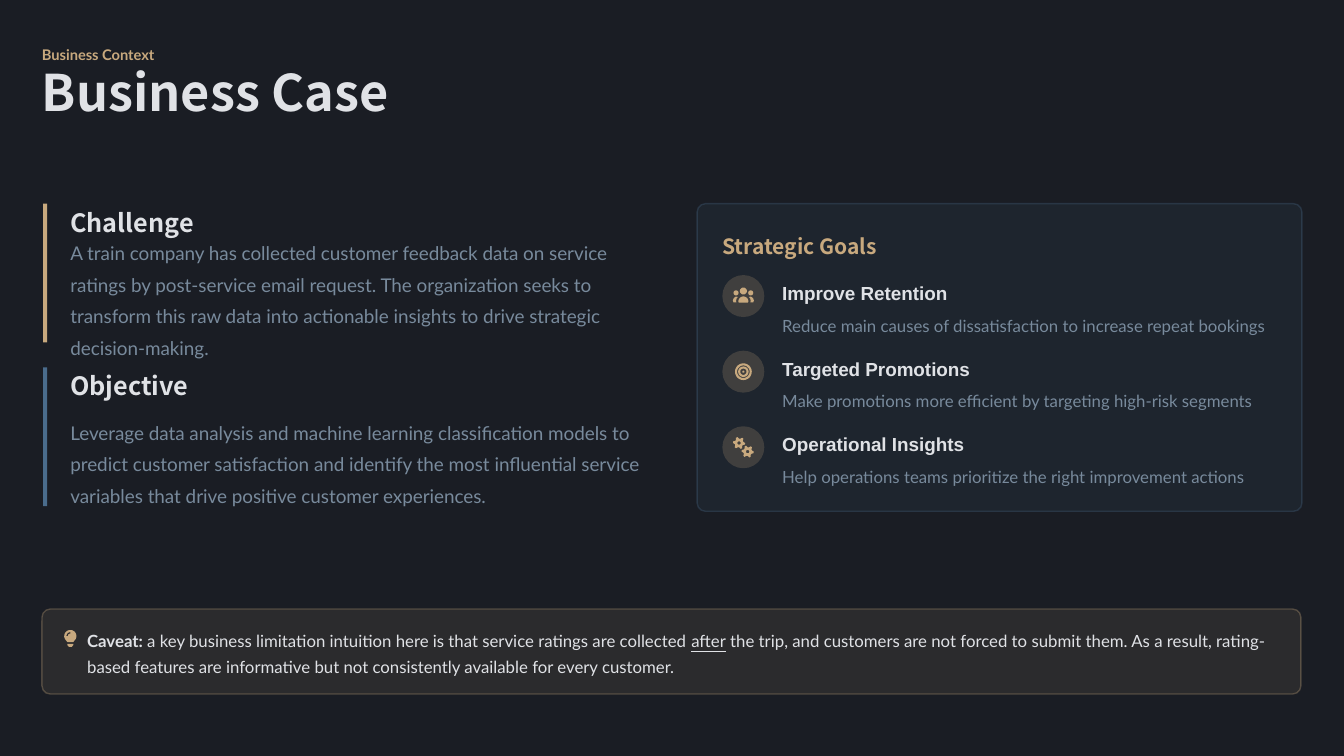
import math
from lxml import etree
from pptx import Presentation
from pptx.dml.color import RGBColor
from pptx.enum import shapes, text
from pptx.oxml import ns
from pptx.util import Pt

PX = 9525  # EMU per px
GOLD, BLUE, LIGHT, GREY = "C8A97E", "4A6C8C", "E0E2E6", "788A9C"
HEAD, BODY = "Noto Sans CJK SC", "Lato"
color = RGBColor.from_string


def write(box, frame, runs, size, name, rgb, spacing, bold=False):
    """Place a text box and fill its one paragraph with (text, format) runs."""
    box.left, box.top, box.width, box.height = [v * PX for v in frame]
    tf = box.text_frame
    settings = dict(word_wrap=True, auto_size=text.MSO_AUTO_SIZE.NONE,
                    vertical_anchor=text.MSO_ANCHOR.MIDDLE, margin_left=0,
                    margin_top=0, margin_right=0, margin_bottom=0)
    for key, value in settings.items():
        setattr(tf, key, value)
    p = tf.paragraphs[0]
    p.alignment, p.line_spacing = text.PP_ALIGN.LEFT, spacing
    for words, extra in runs:
        r = p.add_run()
        r.text = words
        for key, value in (dict(size=Pt(size), name=name, bold=bold) | extra).items():
            setattr(r.font, key, value)
        r.font.color.rgb = color(rgb)


def arc(cx, cy, radius, start=0, end=360, tooth=0):
    """Points along an arc; a tooth depth turns the circle into a gear."""
    points = []
    for i in range(25):
        a = math.radians(start + (end - start) * i / 24)
        reach = radius - tooth * (i % 4 > 1)
        points.append((cx + reach * math.cos(a), cy + reach * math.sin(a)))
    return points


prs = Presentation()
prs.slide_width, prs.slide_height = 1280 * PX, 720 * PX
s = prs.slides.add_slide(prs.slide_layouts[5])
s.background.fill.solid()
s.background.fill.fore_color.rgb = color("1A1D24")

# Title and eyebrow
write(s.shapes.title, (40, 68, 1224, 48), [("Business Case", {})], 36, HEAD, LIGHT, 0.8, True)

# Bars, panels and icon discs: kind, frame, colour, opacity in percent
RECT, ROUND, OVAL = (shapes.MSO_SHAPE.RECTANGLE, shapes.MSO_SHAPE.ROUNDED_RECTANGLE,
                     shapes.MSO_SHAPE.OVAL)
GOAL_TOPS = [262 + 72 * i for i in range(3)]
blocks = [
    (RECT, (41, 194, 4, 132), GOLD, 100),
    (RECT, (41, 350, 4, 132), BLUE, 100),
    (ROUND, (664, 194, 576, 293), BLUE, 10),
    (ROUND, (40, 580, 1199, 81), GOLD, 10),
] + [(OVAL, (688, top, 40, 40), GOLD, 20) for top in GOAL_TOPS]
for kind, frame, rgb, opacity in blocks:
    sp = s.shapes.add_shape(kind, *[v * PX for v in frame])
    sp.shadow.inherit = False
    sp.fill.solid()
    sp.fill.fore_color.rgb = color(rgb)
    sp.line.fill.background()
    if kind == ROUND:
        sp.adjustments[0] = 8 / frame[3]
        sp.line.color.rgb = color(rgb)
        sp.line.width = Pt(1)
    fill_rgb, *line_rgb = sp.element.spPr.iter(ns.qn("a:srgbClr"))
    if opacity < 100:
        etree.SubElement(fill_rgb, ns.qn("a:alpha"), val=str(opacity * 1000))
    for node in line_rgb:
        etree.SubElement(node, ns.qn("a:alpha"), val="30000")

# Icons: centre in px, outlines in tenths of a px around it
shoulder = [(-100, 42), (-92, 20), (-72, 5), (-53, 9), (-66, 26), (-70, 48), (-66, 60), (-94, 60)]
people = [arc(0, -48, 33), arc(-70, -30, 24), arc(70, -30, 24), shoulder,
          [(-x, y) for x, y in shoulder],
          arc(0, 52, 48, 180, 360) + [(44, 62), (-44, 62)]]
target = [arc(0, 0, radius) for radius in (80, 60, 50, 30, 10)]
gears = [arc(c, c, *ring) for c in (-41, 41)
         for ring in ((58, 0, 360, 17), (16,))]
bulb = [arc(0, -22, 58, 140, 400) + [(28, 35), (-28, 35)],
        [(-28, 52), (28, 52), (28, 64), (14, 80), (-14, 80), (-28, 64)],
        arc(0, -22, 37, 180, 270) + arc(0, -22, 24, 270, 180)]
icons = [((708, top + 20), outlines) for top, outlines in zip(GOAL_TOPS, (people, target, gears))]
for (cx, cy), outlines in icons + [((67, 608), bulb)]:
    pen = s.shapes.build_freeform(*outlines[0][0], scale=PX / 10)
    for i, points in enumerate(outlines):
        if i:
            pen.move_to(*points[0])
        pen.add_line_segments(points[1:], close=True)
    sp = pen.convert_to_shape(cx * PX, cy * PX)
    sp.shadow.inherit = False
    sp.fill.solid()
    sp.fill.fore_color.rgb = color(GOLD)
    sp.line.fill.background()

# Text: frame, runs, size, font, colour, line spacing, bold
labels = [
    ((40, 40, 1207, 20), [("Business Context", {})], 10.5, BODY, GOLD, 1.2, True),
    ((688, 218, 526, 28), [("Strategic Goals", {})], 15, HEAD, GOLD, 1.2, True),
    ((83, 596, 1148, 48), [
        ("Caveat: ", {"bold": True}),
        ("a key business limitation intuition here is that service ratings are collected ", {}),
        ("after", {"underline": True}),
        (" the trip, and customers are not forced to submit them. As a result, rating-based "
         "features are informative but not consistently available for every customer.", {}),
    ], 12, BODY, LIGHT, 1.3),
]
sections = [
    (194, "Challenge", "A train company has collected customer feedback data on service ratings by "
     "post-service email request. The organization seeks to transform this raw data into "
     "actionable insights to drive strategic decision-making."),
    (350, "Objective", "Leverage data analysis and machine learning classification models to "
     "predict customer satisfaction and identify the most influential service variables that "
     "drive positive customer experiences."),
]
for top, heading, body in sections:
    labels += [((67, top, 568, 32), [(heading, {})], 18, HEAD, LIGHT, 1.1, True),
               ((67, top + 44, 566, 88), [(body, {})], 13.5, BODY, GREY, 1.4)]
goals = [
    ("Improve Retention", "Reduce main causes of dissatisfaction to increase repeat bookings"),
    ("Targeted Promotions", "Make promotions more efficient by targeting high-risk segments"),
    ("Operational Insights", "Help operations teams prioritize the right improvement actions"),
]
for top, (goal, detail) in zip(GOAL_TOPS, goals):
    labels += [((745, top, 482, 28), [(goal, {})], 13.5, "Arial", LIGHT, 1.3, True),
               ((745, top + 33, 482, 24), [(detail, {})], 12, BODY, GREY, 1.3)]
for label in labels:
    write(s.shapes.add_textbox(0, 0, PX, PX), *label)

prs.save("out.pptx")
